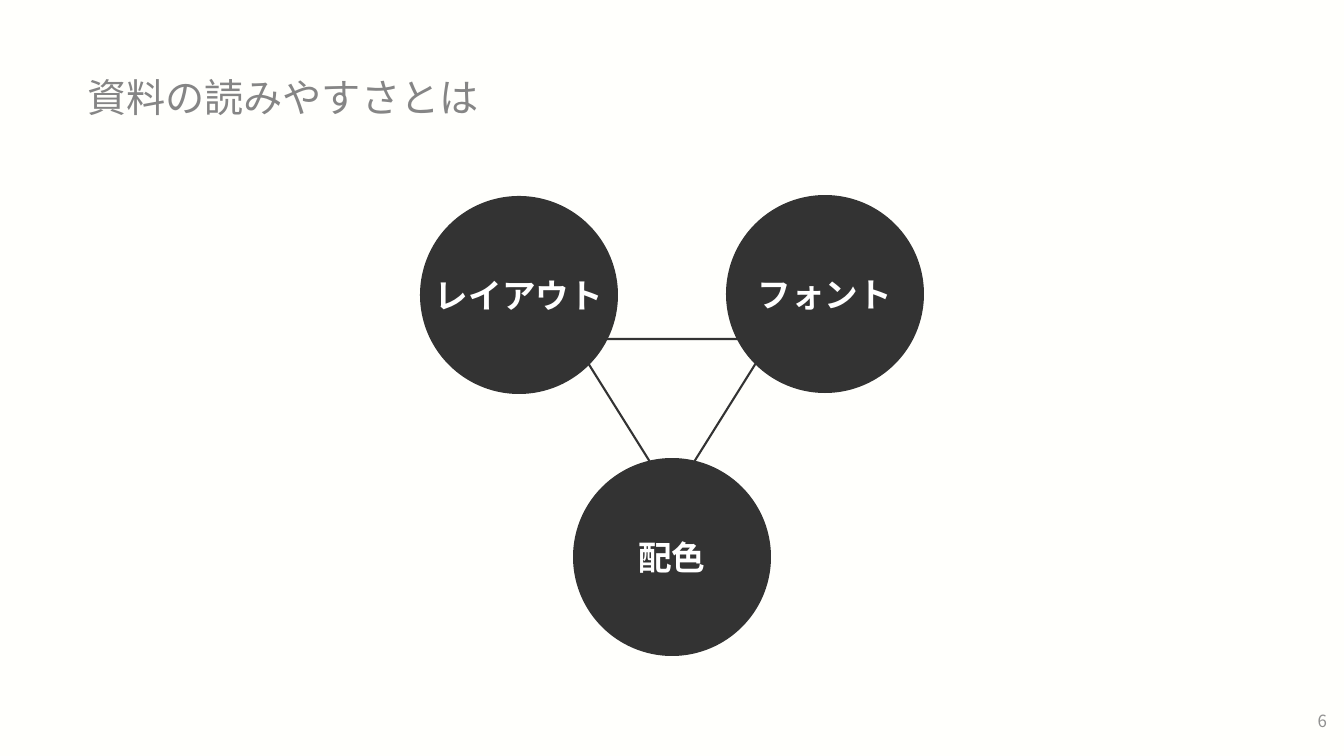
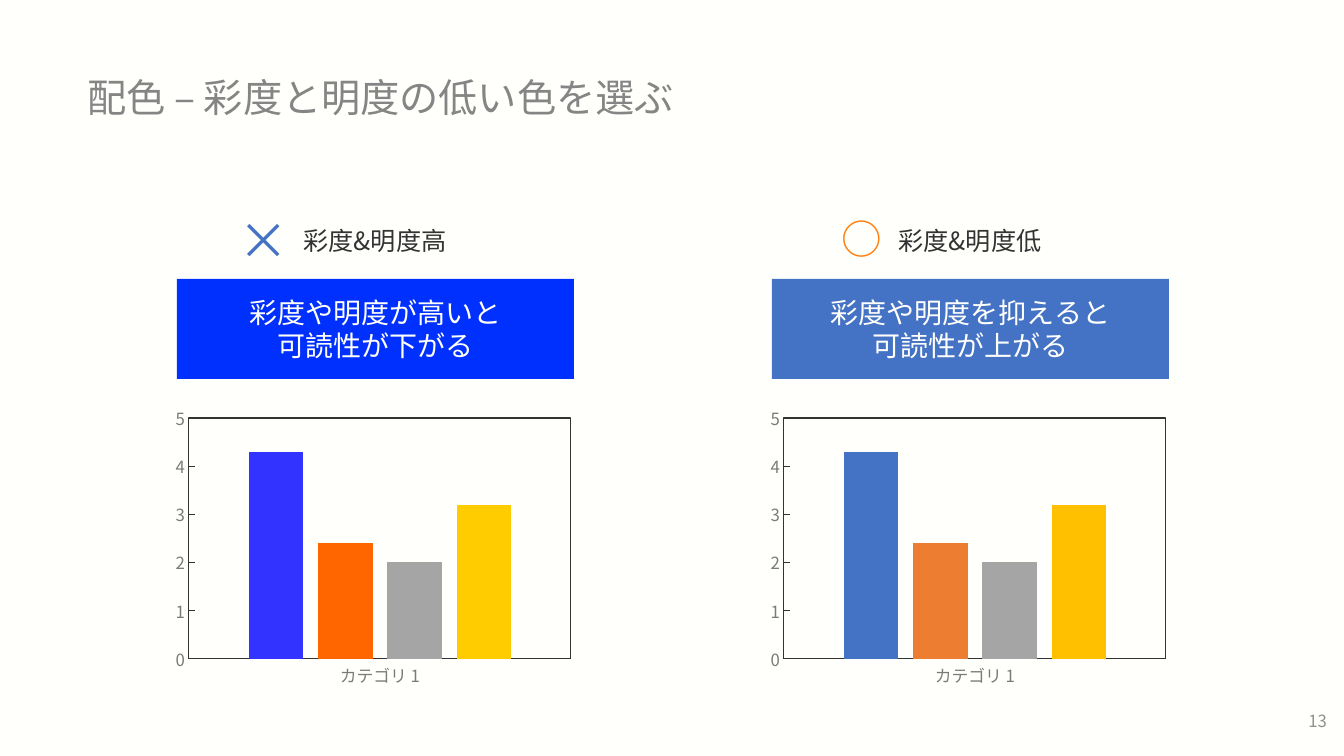
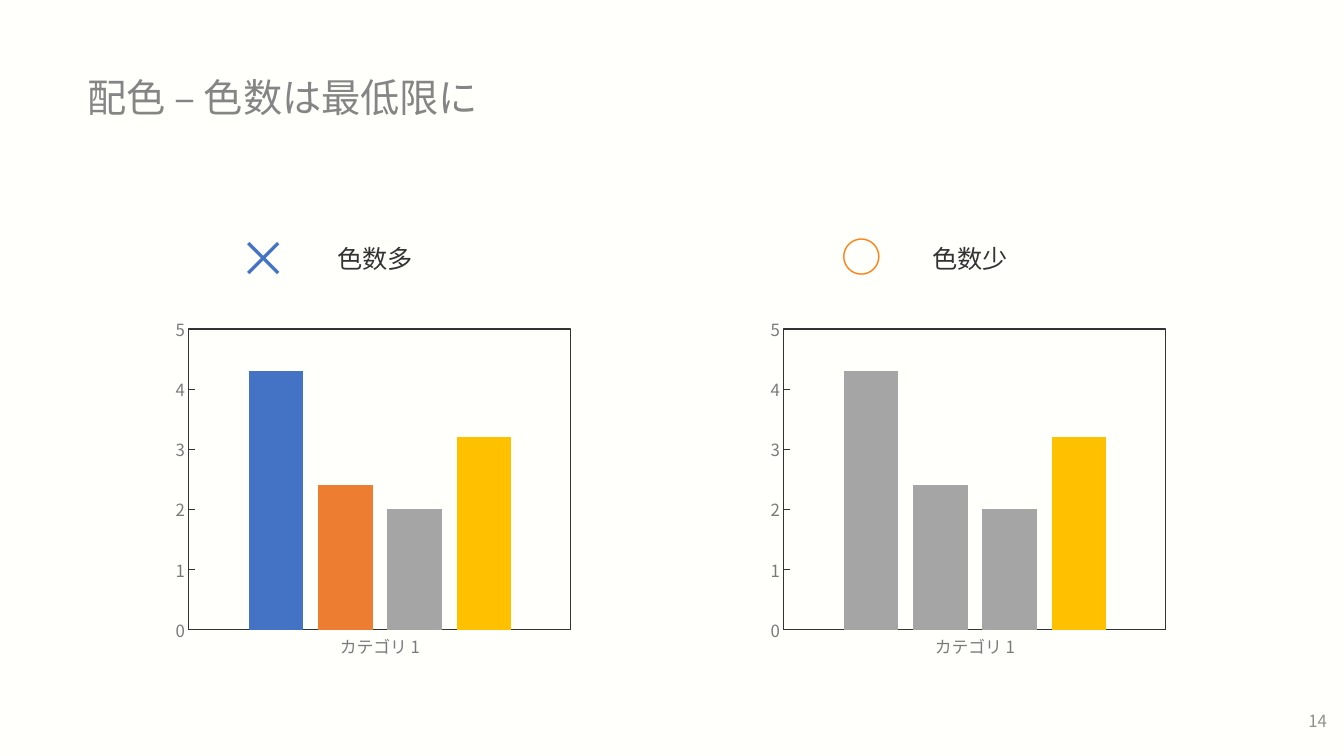
from pptx import Presentation, oxml
from pptx import util as u
from pptx.chart import data as chart_data
from pptx.dml.color import RGBColor
from pptx.enum import chart as charts, shapes, text
from pptx.oxml import ns

PAPER = RGBColor(0xFF, 0xFF, 0xFC)
WHITE = RGBColor(0xFF, 0xFF, 0xFF)
INK = RGBColor(0x33, 0x33, 0x33)
TITLE_GREY = RGBColor(0x85, 0x85, 0x85)
NUMBER_GREY = RGBColor(0x90, 0x90, 0x90)
AXIS_GREY = RGBColor(0x7A, 0x7A, 0x7A)
GREY = RGBColor(0xA5, 0xA5, 0xA5)
BLUE = RGBColor(0x44, 0x72, 0xC4)
ORANGE = RGBColor(0xED, 0x7D, 0x31)
YELLOW = RGBColor(0xFF, 0xC0, 0x00)
VIVID_BAND = RGBColor(0x00, 0x30, 0xFE)
VIVID_BLUE = RGBColor(0x33, 0x33, 0xFF)
VIVID_ORANGE = RGBColor(0xFF, 0x66, 0x00)
VIVID_YELLOW = RGBColor(0xFF, 0xCC, 0x00)
CIRCLE_ORANGE = RGBColor(0xFF, 0x7F, 0x11)

FONT = "Noto Sans CJK JP"
TITLE_ONLY = 5
BAR_VALUES = (4.3, 2.4, 2, 3.2)
COLUMNS = (167, 762)
MARKS = (
    ("×", 36, BLUE, (62, -17, 64, 72)),
    ("○", 29, CIRCLE_ORANGE, (69, -12, 62, 61)),
)
MUTED = (BLUE, ORANGE, GREY, YELLOW)
VIVID = (VIVID_BLUE, VIVID_ORANGE, GREY, VIVID_YELLOW)
ONE_ACCENT = (GREY, GREY, GREY, YELLOW)


def px(length):
    return u.Emu(round(length * 914400 / 100.8))


def add_east_asian_font(element):
    for latin in element.xpath(".//a:latin"):
        latin.addnext(oxml.parse_xml(
            f'<a:ea {ns.nsdecls("a")} typeface="{FONT}"/>'))


class Sheet:
    def __init__(self):
        self.deck = Presentation()
        self.deck.slide_width = px(1344)
        self.deck.slide_height = px(756)
        background = self.deck.slide_master.background.fill
        background.solid()
        background.fore_color.rgb = PAPER
        self.slide = None

    def set_text(self, shape, words, size, color, align="CENTER", bold=False,
                 wrap=True, spacing=None):
        frame = shape.text_frame
        frame.text = words
        frame.word_wrap = wrap
        frame.vertical_anchor = text.MSO_ANCHOR.MIDDLE
        for para in frame.paragraphs:
            para.alignment = text.PP_ALIGN[align]
            para.line_spacing = spacing
            for span in para.runs:
                span.font.size = u.Pt(size)
                span.font.bold = bold
                span.font.color.rgb = color
                span.font.name = FONT
        add_east_asian_font(shape.element)

    def page(self, title, number):
        layout = self.deck.slide_layouts[TITLE_ONLY]
        self.slide = self.deck.slides.add_slide(layout)
        heading = self.slide.shapes.title
        heading.left, heading.top = px(77), px(60)
        heading.width, heading.height = px(1190), px(80)
        self.set_text(heading, title, 28, TITLE_GREY, "LEFT", spacing=0.9)
        self.label((1267, 701, 70, 40), str(number), 12, NUMBER_GREY, "RIGHT")

    def label(self, area, words, size, color, align="CENTER", wrap=True):
        box = self.slide.shapes.add_textbox(*map(px, area))
        self.set_text(box, words, size, color, align, wrap=wrap)

    def shape(self, kind, area, fill=None):
        shape = self.slide.shapes.add_shape(kind, *map(px, area))
        shape.shadow.inherit = False
        if fill is None:
            shape.fill.background()
            shape.line.color.rgb = INK
            shape.line.width = u.Pt(1.5)
        else:
            shape.fill.solid()
            shape.fill.fore_color.rgb = fill
            shape.line.fill.background()
        return shape

    def triangle(self, area):
        shape = self.shape(shapes.MSO_SHAPE.ISOSCELES_TRIANGLE, area)
        shape.rotation = 180

    def circle(self, left, top, words):
        shape = self.shape(shapes.MSO_SHAPE.OVAL, (left, top, 198, 198), INK)
        self.set_text(shape, words, 24, WHITE, bold=True, wrap=False)

    def band(self, left, top, words, fill):
        area = (left, top, 397, 100)
        shape = self.shape(shapes.MSO_SHAPE.RECTANGLE, area, fill)
        frame = shape.text_frame
        frame.margin_left = frame.margin_right = px(16)
        frame.margin_top = frame.margin_bottom = px(16)
        self.set_text(shape, words, 20, PAPER)

    def verdicts(self, top, labels):
        for left, words, mark in zip(COLUMNS, labels, MARKS):
            glyph, size, color, (right, down, width, height) = mark
            self.label((left + 68, top, 280, 40), words, 18, INK)
            self.label((left + right, top + down, width, height),
                       glyph, size, color, wrap=False)

    def bars(self, left, top, height, colors):
        width = 412
        values = chart_data.CategoryChartData()
        values.categories = ["カテゴリ 1"]
        for index, value in enumerate(BAR_VALUES, 1):
            values.add_series(f"Series {index}", [value])
        chart = self.slide.shapes.add_chart(
            charts.XL_CHART_TYPE.COLUMN_CLUSTERED,
            *map(px, (left, top, width, height)), values).chart
        chart.has_legend = False
        chart.has_title = False
        chart.font.size = u.Pt(10)
        chart.font.color.rgb = INK
        chart.font.name = FONT
        plot = chart.plots[0]
        plot.vary_by_categories = False
        plot.gap_width = 219
        plot.overlap = -27
        for series, color in zip(plot.series, colors):
            series.format.fill.solid()
            series.format.fill.fore_color.rgb = color
        scale = chart.value_axis
        scale.minimum_scale, scale.maximum_scale = 0, 5
        scale.major_unit = 1
        ticks = charts.XL_TICK_MARK
        for axis, tick in ((chart.category_axis, ticks.NONE),
                           (scale, ticks.INSIDE)):
            axis.has_major_gridlines = False
            axis.major_tick_mark = tick
            axis.minor_tick_mark = ticks.NONE
            axis.format.line.color.rgb = INK
            axis.format.line.width = u.Pt(0.75)
            font = axis.tick_labels.font
            font.size = u.Pt(12)
            font.color.rgb = AXIS_GREY
            font.name = FONT
        add_east_asian_font(chart.element)
        self.frame_plot(chart, width, height)

    def frame_plot(self, chart, width, height):
        area = chart.element.xpath(".//c:plotArea")[0]
        for layout in area.xpath("./c:layout"):
            area.remove(layout)
        places = {"x": 22 / width, "y": 20 / height,
                  "w": 382 / width, "h": (height - 55) / height}
        modes = "".join(f'<c:{key}Mode val="edge"/>' for key in "xy")
        sizes = "".join(f'<c:{key} val="{value:.4f}"/>'
                        for key, value in places.items())
        area.insert(0, oxml.parse_xml(
            f'<c:layout {ns.nsdecls("c")}><c:manualLayout>'
            f'<c:layoutTarget val="inner"/>{modes}{sizes}'
            '</c:manualLayout></c:layout>'))
        area.append(oxml.parse_xml(
            f'<c:spPr {ns.nsdecls("c", "a")}><a:noFill/>'
            f'<a:ln w="{u.Pt(0.75)}"><a:solidFill><a:srgbClr val="{INK}"/>'
            '</a:solidFill></a:ln></c:spPr>'))


def main():
    sheet = Sheet()

    sheet.page("資料の読みやすさとは", 6)
    sheet.triangle((573, 339, 198, 158))
    sheet.circle(420, 196, "レイアウト")
    sheet.circle(726, 195, "フォント")
    sheet.circle(573, 458, "配色")

    sheet.page("配色 – 彩度と明度の低い色を選ぶ", 13)
    sheet.verdicts(220, ("彩度&明度高", "彩度&明度低"))
    messages = (("彩度や明度が高いと\n可読性が下がる", VIVID_BAND, VIVID),
                ("彩度や明度を抑えると\n可読性が上がる", BLUE, MUTED))
    for left, (words, fill, colors) in zip(COLUMNS, messages):
        sheet.band(left + 10, 279, words, fill)
        sheet.bars(left, 398, 296, colors)

    sheet.page("配色 – 色数は最低限に", 14)
    sheet.verdicts(238, ("色数多", "色数少"))
    for left, colors in zip(COLUMNS, (MUTED, ONE_ACCENT)):
        sheet.bars(left, 309, 356, colors)

    sheet.deck.save("out.pptx")


if __name__ == "__main__":
    main()
